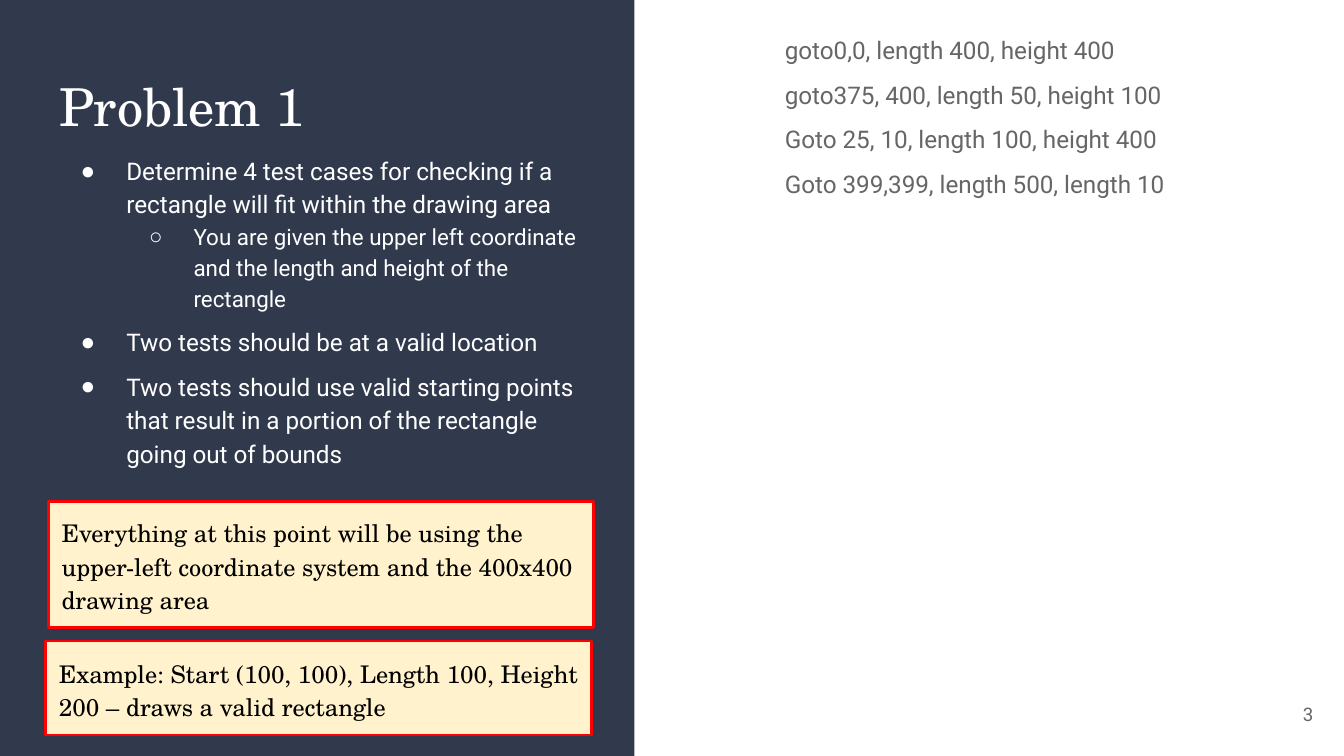
from lxml.etree import SubElement
from pptx import Presentation
from pptx.dml.color import RGBColor
from pptx.enum.shapes import MSO_SHAPE as Shape
from pptx.enum.text import MSO_ANCHOR as Anchor, MSO_AUTO_SIZE as AutoSize, PP_ALIGN as Align
from pptx.oxml.ns import qn
from pptx.util import Inches, Pt

COLORS = {
    "panel": "31394D",
    "white": "FFFFFF",
    "gray": "666666",
    "black": "000000",
    "callout": "FFF2CC",
    "border": "FF0000",
}
SERIF, SANS = "TeX Gyre Schola", "Roboto"
SLIDE_WIDTH = 10
SLIDE_HEIGHT = SLIDE_WIDTH * 9 / 16

TASKS = [
    (0, "Determine 4 test cases for checking if a rectangle will fit within the drawing area"),
    (1, "You are given the upper left coordinate and the length and height of the rectangle"),
    (0, "Two tests should be at a valid location"),
    (0, "Two tests should use valid starting points that result in a portion of "
        "the rectangle going out of bounds"),
]
TASK_STYLES = [
    {"bullet": "●", "margin": 0.5, "indent": -0.34, "size": 13},
    {"bullet": "○", "margin": 1, "indent": -0.33, "size": 12},
]
TEST_CASES = [
    "goto0,0, length 400, height 400",
    "goto375, 400, length 50, height 100",
    "Goto 25, 10, length 100, height 400",
    "Goto 399,399, length 500, length 10",
]
CALLOUTS = [
    ((0.36, 3.73, 4.06, 0.94),
     "Everything at this point will be using the upper-left coordinate system "
     "and the 400x400 drawing area"),
    ((0.34, 4.77, 4.06, 0.7),
     "Example: Start (100, 100), Length 100, Height 200 – draws a valid rectangle"),
]


def color(name):
    return RGBColor.from_string(COLORS[name])


def set_attributes(target, values):
    for name, value in values.items():
        setattr(target, name, value)


def place(shape, box):
    names = ("left", "top", "width", "height")
    set_attributes(shape, dict(zip(names, map(Inches, box))))


def prepare_frame(shape, anchor=Anchor.TOP):
    """Give the text frame equal insets, wrapping and a fixed size."""
    frame = shape.text_frame
    sides = ("left", "top", "right", "bottom")
    set_attributes(frame, {f"margin_{side}": Inches(0.1) for side in sides})
    set_attributes(frame, {"word_wrap": True, "auto_size": AutoSize.NONE,
                           "vertical_anchor": anchor})
    return frame


def write_paragraph(paragraph, text, size, font, ink, **formats):
    values = {"alignment": Align.LEFT, "line_spacing": 1.15,
              "space_before": Pt(0), "space_after": Pt(0)}
    set_attributes(paragraph, values | formats)
    run = paragraph.add_run()
    run.text = text
    set_attributes(run.font, {"size": Pt(size), "name": font})
    run.font.color.rgb = color(ink)


def set_bullet(paragraph, margin, indent, bullet=None):
    """Set the indents and the bullet sign, or no bullet at all."""
    properties = paragraph._p.get_or_add_pPr()
    properties.set("marL", str(Inches(margin)))
    properties.set("indent", str(Inches(indent)))
    if bullet is None:
        SubElement(properties, qn("a:buNone"))
        return
    bullet_color = SubElement(properties, qn("a:buClr"))
    SubElement(bullet_color, qn("a:srgbClr"), val=COLORS["white"])
    SubElement(properties, qn("a:buChar"), char=bullet)


def list_paragraphs(frame, items):
    """Yield a paragraph for each item, starting with the existing one."""
    for index, item in enumerate(items):
        yield (frame.add_paragraph() if index else frame.paragraphs[0]), item


def add_rectangle(slide, box, fill, border=None):
    rectangle = slide.shapes.add_shape(Shape.RECTANGLE, *map(Inches, box))
    rectangle.shadow.inherit = False
    rectangle.fill.solid()
    rectangle.fill.fore_color.rgb = color(fill)
    if border:
        rectangle.line.color.rgb = color(border)
        rectangle.line.width = Pt(1.5)
    else:
        rectangle.line.fill.background()
    return rectangle


def add_panel(slide):
    panel = add_rectangle(slide, (0, 0, 4.72, SLIDE_HEIGHT), "panel")
    slide.shapes._spTree.insert(2, panel._element)  # behind the placeholders


def add_callout(slide, box, text):
    callout = add_rectangle(slide, box, "callout", "border")
    frame = prepare_frame(callout, Anchor.MIDDLE)
    write_paragraph(frame.paragraphs[0], text, 13, SERIF, "black")


def fill_title(title):
    place(title, (0.34, 0.45, 4.05, 0.7))
    frame = prepare_frame(title)
    write_paragraph(frame.paragraphs[0], "Problem 1", 28, SERIF, "white", line_spacing=1.0)


def fill_tasks(body):
    place(body, (0.34, 1.03, 4.06, 2.58))
    for index, (paragraph, (level, text)) in enumerate(
            list_paragraphs(prepare_frame(body), TASKS)):
        style = TASK_STYLES[level]
        paragraph.level = level
        set_bullet(paragraph, style["margin"], style["indent"], style["bullet"])
        before = Pt(6 if index and level == 0 else 0)
        write_paragraph(paragraph, text, style["size"], SANS, "white", space_before=before)


def fill_test_cases(body):
    place(body, (5.08, 0.13, 4.56, 5.26))
    for paragraph, text in list_paragraphs(prepare_frame(body), TEST_CASES):
        paragraph.level = 1
        set_bullet(paragraph, 0.66, 0)
        write_paragraph(paragraph, text, 13, SANS, "gray", space_after=Pt(6))


def add_slide_number(slide):
    box = slide.shapes.add_textbox(*map(Inches, (9.27, 5.1, 0.6, 0.43)))
    frame = prepare_frame(box, Anchor.MIDDLE)
    write_paragraph(frame.paragraphs[0], "3", 10, SANS, "gray",
                    alignment=Align.RIGHT, line_spacing=1.0)


def main():
    presentation = Presentation()
    set_attributes(presentation, {"slide_width": Inches(SLIDE_WIDTH),
                                  "slide_height": Inches(SLIDE_HEIGHT)})
    two_content = presentation.slide_layouts[3]
    slide = presentation.slides.add_slide(two_content)
    title, tasks, test_cases = slide.placeholders
    add_panel(slide)
    fill_title(title)
    fill_tasks(tasks)
    fill_test_cases(test_cases)
    for box, text in CALLOUTS:
        add_callout(slide, box, text)
    add_slide_number(slide)
    presentation.save("out.pptx")


if __name__ == "__main__":
    main()
